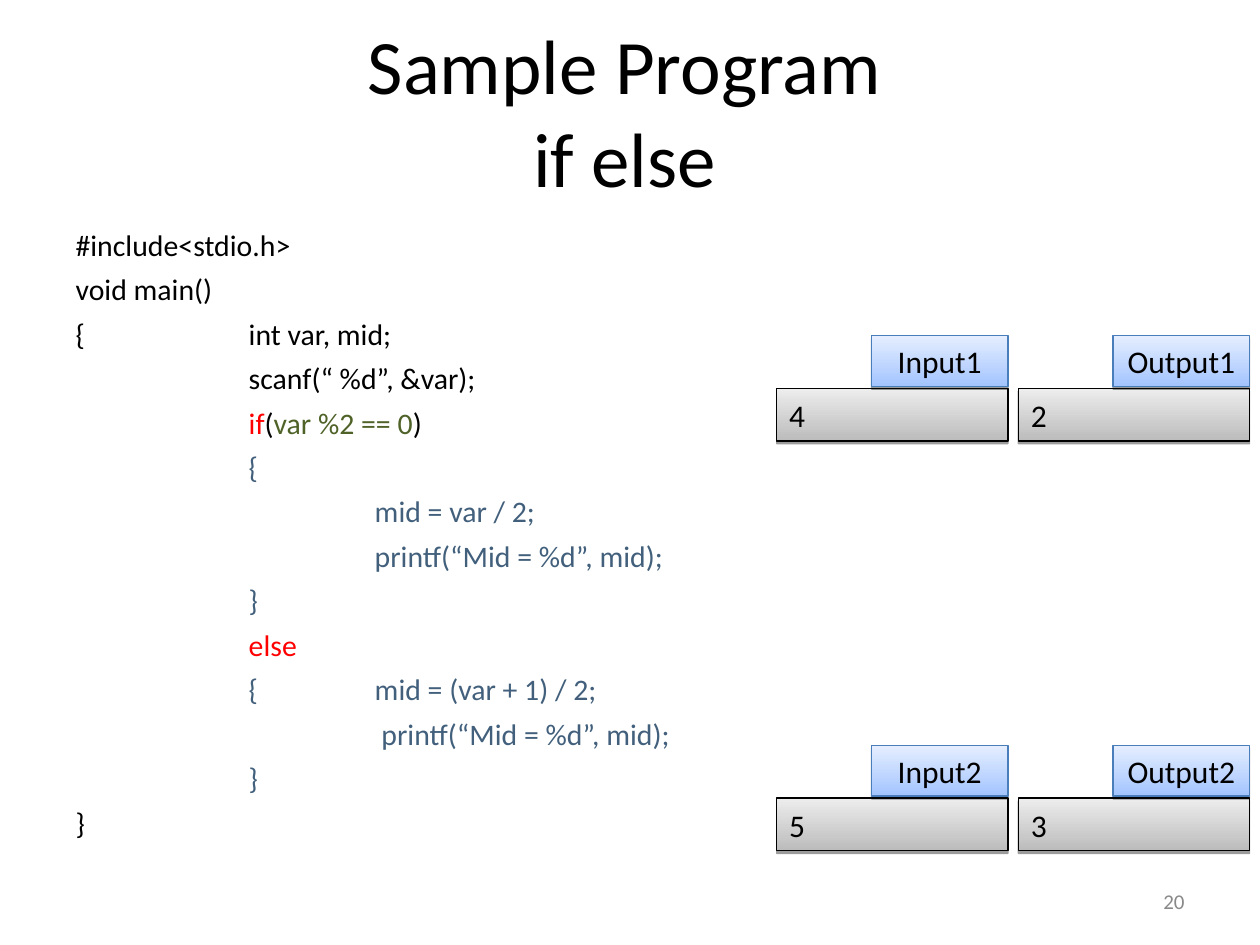
from lxml import etree
from pptx import Presentation
from pptx import util as u
from pptx.dml.color import RGBColor
from pptx.enum import shapes, text
from pptx.oxml import ns

COLORS = {
    "black": "000000", "keyword": "FF0000", "condition": "4F6228",
    "block": "42607C", "number": "898989", "tag_line": "4A7EBB",
    "tag_dark": "A3C4FF", "tag_light": "E5EEFF",
    "value_dark": "BCBCBC", "value_light": "EDEDED",
}


def color(name):
    return RGBColor.from_string(COLORS[name])


def write(frame, lines, size=18, align=text.PP_ALIGN.LEFT,
          anchor=text.MSO_ANCHOR.MIDDLE, code=False):
    """Fill a text frame; each line is a list of (wording, color name) runs."""
    frame.word_wrap = True
    frame.auto_size = text.MSO_AUTO_SIZE.NONE
    frame.vertical_anchor = anchor
    for index, line in enumerate(lines):
        paragraph = frame.paragraphs[0] if index == 0 else frame.add_paragraph()
        paragraph.alignment = align
        if code:
            properties = paragraph._p.get_or_add_pPr()
            properties.set("marL", str(u.Cm(0.95)))
            properties.set("indent", str(-u.Cm(0.95)))
            properties.set("defTabSz", str(u.Cm(2.54)))
            etree.SubElement(properties, ns.qn("a:buNone"))
            tabs = etree.SubElement(properties, ns.qn("a:tabLst"))
            for stop in range(8):
                etree.SubElement(tabs, ns.qn("a:tab"),
                                 pos=str(u.Cm(2.54 * stop)), algn="l")
            paragraph.space_before = u.Pt(5 if index else 0)
        for wording, color_name in line:
            for part, piece in enumerate(wording.split("\n")):
                if part:
                    paragraph.add_line_break()
                run = paragraph.add_run()
                run.text = piece
                run.font.name = "Calibri"
                run.font.size = u.Pt(size)
                run.font.color.rgb = color(color_name)


presentation = Presentation()
presentation.slide_width, presentation.slide_height = u.Cm(25.4), u.Cm(19.05)
slide = presentation.slides.add_slide(presentation.slide_layouts[1])

# Title
title = slide.shapes.title
title.left, title.top = u.Cm(1.06), u.Cm(0.63)
title.width, title.height = u.Cm(23.07), u.Cm(3.18)
write(title.text_frame, [[("Sample Program\nif else", "black")]],
      size=44, align=text.PP_ALIGN.CENTER)

# Program listing
body = slide.placeholders[1]
body.left, body.top = u.Cm(1.27), u.Cm(4.44)
body.width, body.height = u.Cm(22.86), u.Cm(12.57)
program = [
    [("#include<stdio.h>", "black")],
    [("void main()", "black")],
    [("{\t\tint var, mid;", "black")],
    [("\t\tscanf(“ %d”, &var);", "black")],
    [("\t\t", "black"), ("if", "keyword"), ("(", "black"),
     ("var %2 == 0", "condition"), (")", "black")],
    [("\t\t{", "block")],
    [("\t\t\tmid = var / 2;", "block")],
    [("\t\t\tprintf(“Mid = %d”, mid);", "block")],
    [("\t\t}", "block")],
    [("\t\telse", "keyword")],
    [("\t\t{\tmid = (var + 1) / 2;", "block")],
    [("\t\t\t printf(“Mid = %d”, mid);", "block")],
    [("\t\t}", "block")],
    [("}", "black")],
]
write(body.text_frame, program, size=17, anchor=text.MSO_ANCHOR.TOP, code=True)

# Sample runs: a value box with a tag above its right end
value_width, value_height = 4.66, 1.06
tag_width, tag_height = 2.75, 1.02
samples = [[("Input1", "4"), ("Output1", "2")],
           [("Input2", "5"), ("Output2", "3")]]
for row, sample in enumerate(samples):
    for column, (tag, value) in enumerate(sample):
        left, top = 15.66 + 4.87 * column, 6.77 + 8.26 * row
        boxes = [
            (value, left, top + 1.06, value_width, value_height,
             "value", "black", text.PP_ALIGN.LEFT),
            (tag, left + value_width - tag_width, top, tag_width, tag_height,
             "tag", "tag_line", text.PP_ALIGN.CENTER),
        ]
        for wording, x, y, width, height, kind, line_color, align in boxes:
            shape = slide.shapes.add_shape(
                shapes.MSO_SHAPE.RECTANGLE,
                u.Cm(x), u.Cm(y), u.Cm(width), u.Cm(height))
            shape.fill.gradient()
            shape.fill.gradient_angle = 90
            for stop, position, shade in zip(shape.fill.gradient_stops,
                                             (0, 1), ("dark", "light")):
                stop.position = position
                stop.color.rgb = color(f"{kind}_{shade}")
            shape.line.color.rgb = color(line_color)
            shape.line.width = u.Pt(0.75)
            # Drop shadow straight below
            shape.shadow.inherit = False
            effects = shape._element.spPr.find(ns.qn("a:effectLst"))
            shadow = etree.SubElement(
                effects, ns.qn("a:outerShdw"), blurRad="0",
                dist=str(u.Pt(1.6)), dir="5400000", rotWithShape="0")
            shadow_color = etree.SubElement(shadow, ns.qn("a:srgbClr"),
                                            val=COLORS["black"])
            etree.SubElement(shadow_color, ns.qn("a:alpha"), val="38000")
            write(shape.text_frame, [[(wording, "black")]], align=align)

# Slide number
number = slide.shapes.add_textbox(u.Cm(18.2), u.Cm(17.66), u.Cm(5.93), u.Cm(1.01))
write(number.text_frame, [[("20", "number")]], size=12,
      align=text.PP_ALIGN.RIGHT)

presentation.save("out.pptx")
